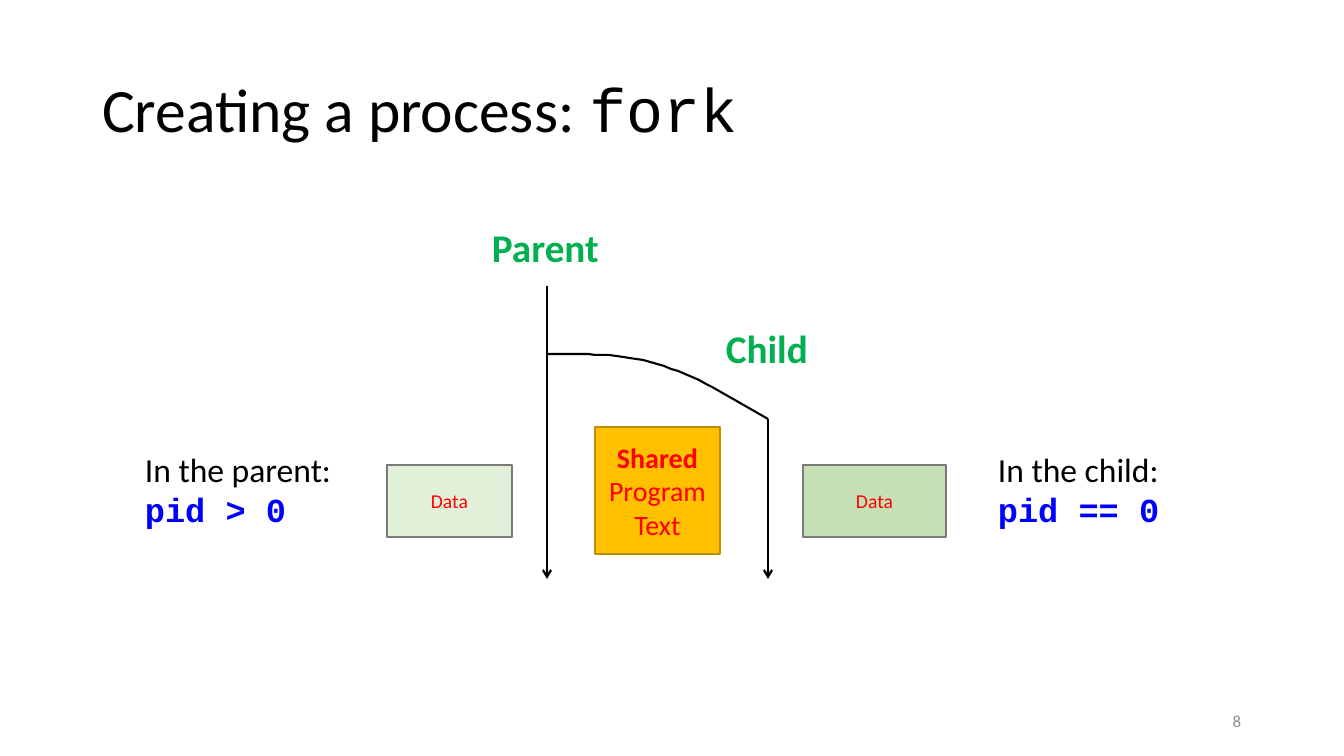
from dataclasses import dataclass

from lxml.etree import SubElement
from pptx import Presentation
from pptx.dml.color import RGBColor
from pptx.enum.shapes import MSO_CONNECTOR, MSO_SHAPE
from pptx.enum.text import MSO_ANCHOR, MSO_AUTO_SIZE, PP_ALIGN
from pptx.oxml.ns import qn
from pptx.util import Pt

SCALE = 914400 / 100.8  # EMU per pixel


@dataclass(frozen=True)
class Theme:
    sans: str = "Calibri"
    mono: str = "Courier New"
    black: str = "000000"
    grey: str = "8C8C8C"
    green: str = "00B050"
    blue: str = "0000FF"
    red: str = "FF0000"
    parent_data: str = "E2F0D9"
    child_data: str = "C5E0B4"
    data_edge: str = "7A7A7A"
    shared: str = "FFC000"
    shared_edge: str = "BD8E00"
    title_size: int = 44
    label_size: int = 28
    note_size: int = 24
    shared_size: int = 20
    data_size: int = 14
    number_size: int = 12


THEME = Theme()


def emu(*pixels):
    return [round(value * SCALE) for value in pixels]


def color(value):
    return RGBColor.from_string(value)


def add_span(para, text, size, tint, font=THEME.sans, bold=False):
    span = para.add_run()
    span.text = text
    span.font.name = font
    span.font.size = Pt(size)
    span.font.bold = bold
    span.font.color.rgb = color(tint)


def add_lines(frame, lines, align=PP_ALIGN.LEFT):
    """Each line holds the arguments of one run in its own paragraph."""
    for index, line in enumerate(lines):
        para = frame.add_paragraph() if index else frame.paragraphs[0]
        para.alignment = align
        add_span(para, *line)


def add_label(page, box, lines):
    frame = page.shapes.add_textbox(*emu(*box)).text_frame
    frame.word_wrap = False
    frame.auto_size = MSO_AUTO_SIZE.SHAPE_TO_FIT_TEXT
    add_lines(frame, lines)


def add_block(page, box, fill, edge, lines):
    block = page.shapes.add_shape(MSO_SHAPE.RECTANGLE, *emu(*box))
    block.shadow.inherit = False
    block.fill.solid()
    block.fill.fore_color.rgb = color(fill)
    block.line.color.rgb = color(edge)
    block.line.width = Pt(1)
    block.text_frame.vertical_anchor = MSO_ANCHOR.MIDDLE
    add_lines(block.text_frame, lines, PP_ALIGN.CENTER)


def style_stroke(stroke):
    stroke.line.color.rgb = color(THEME.black)
    stroke.line.width = Pt(1.5)


def add_timeline(page, x, top, bottom):
    arrow = page.shapes.add_connector(
        MSO_CONNECTOR.STRAIGHT, *emu(x, top, x, bottom))
    style_stroke(arrow)
    SubElement(arrow.line._get_or_add_ln(), qn("a:tailEnd"), type="arrow")
    SubElement(arrow._element.spPr, qn("a:effectLst"))


def bezier(points, steps=16):
    """Points along a cubic curve, without its start."""
    for step in range(1, steps + 1):
        t = step / steps
        weights = ((1 - t) ** 3, 3 * t * (1 - t) ** 2, 3 * t * t * (1 - t), t ** 3)
        yield tuple(sum(w * point[axis] for w, point in zip(weights, points))
                    for axis in (0, 1))


def add_branch(page, points):
    builder = page.shapes.build_freeform(*points[0], scale=SCALE)
    for first in range(0, len(points) - 1, 3):
        builder.add_line_segments(bezier(points[first:first + 4]), close=False)
    branch = builder.convert_to_shape()
    branch.shadow.inherit = False
    branch.fill.background()
    style_stroke(branch)


def add_title(page, box):
    title = page.shapes.title
    title.left, title.top, title.width, title.height = emu(*box)
    frame = title.text_frame
    frame.auto_size = MSO_AUTO_SIZE.NONE
    frame.vertical_anchor = MSO_ANCHOR.MIDDLE
    para = frame.paragraphs[0]
    para.alignment = PP_ALIGN.LEFT
    para.line_spacing = 0.9
    add_span(para, "Creating a process: ", THEME.title_size, THEME.black)
    add_span(para, "fork", THEME.title_size, THEME.black, THEME.mono)


def add_fork_diagram(page, left, top):
    def place(x, y, *size):
        return (left + x, top + y, *size)

    # Parent and child timelines, joined by the branch
    parent_x, child_x, fork_y, child_y, end_y = 160, 381, 136, 201, 361
    add_timeline(page, left + parent_x, top + 68, top + end_y)
    add_timeline(page, left + child_x, top + child_y, top + end_y)
    curve = [(parent_x, fork_y), (197, 136), (233, 135), (270, 146),
             (307, 157), (344, 179), (child_x, child_y)]
    add_branch(page, [place(*point) for point in curve])

    # Process names
    for name, box in (("Parent", (95, 0, 128, 57)), ("Child", (329, 101, 103, 57))):
        add_label(page, place(*box),
                  [(name, THEME.label_size, THEME.green, THEME.sans, True)])

    # Separate data on each side, shared program text between
    for x, width, fill in ((0, 125, THEME.parent_data), (416, 143, THEME.child_data)):
        add_block(page, place(x, 247, width, 72), fill, THEME.data_edge,
                  [("Data", THEME.data_size, THEME.red)])
    add_block(page, place(208, 209, 125, 127), THEME.shared, THEME.shared_edge, [
        ("Shared", THEME.shared_size, THEME.red, THEME.sans, True),
        ("Program", THEME.shared_size, THEME.red),
        ("Text", THEME.shared_size, THEME.red)])


def add_pid_note(page, box, heading, code):
    add_label(page, box, [
        (heading, THEME.note_size, THEME.black),
        (code, THEME.note_size, THEME.blue, THEME.mono, True)])


def add_page_number(page, box, number):
    frame = page.shapes.add_textbox(*emu(*box)).text_frame
    frame.word_wrap = True
    frame.vertical_anchor = MSO_ANCHOR.MIDDLE
    add_lines(frame, [(number, THEME.number_size, THEME.grey)], PP_ALIGN.RIGHT)


deck = Presentation()
deck.slide_width, deck.slide_height = emu(1344, 756)
page = deck.slides.add_slide(deck.slide_layouts[5])
add_title(page, (92, 40, 1159, 146))
add_fork_diagram(page, 387, 218)
add_pid_note(page, (135, 444, 209, 92), "In the parent:", "pid > 0")
add_pid_note(page, (988, 444, 182, 92), "In the child:", "pid == 0")
add_page_number(page, (949, 701, 302, 40), "8")
deck.save("out.pptx")
